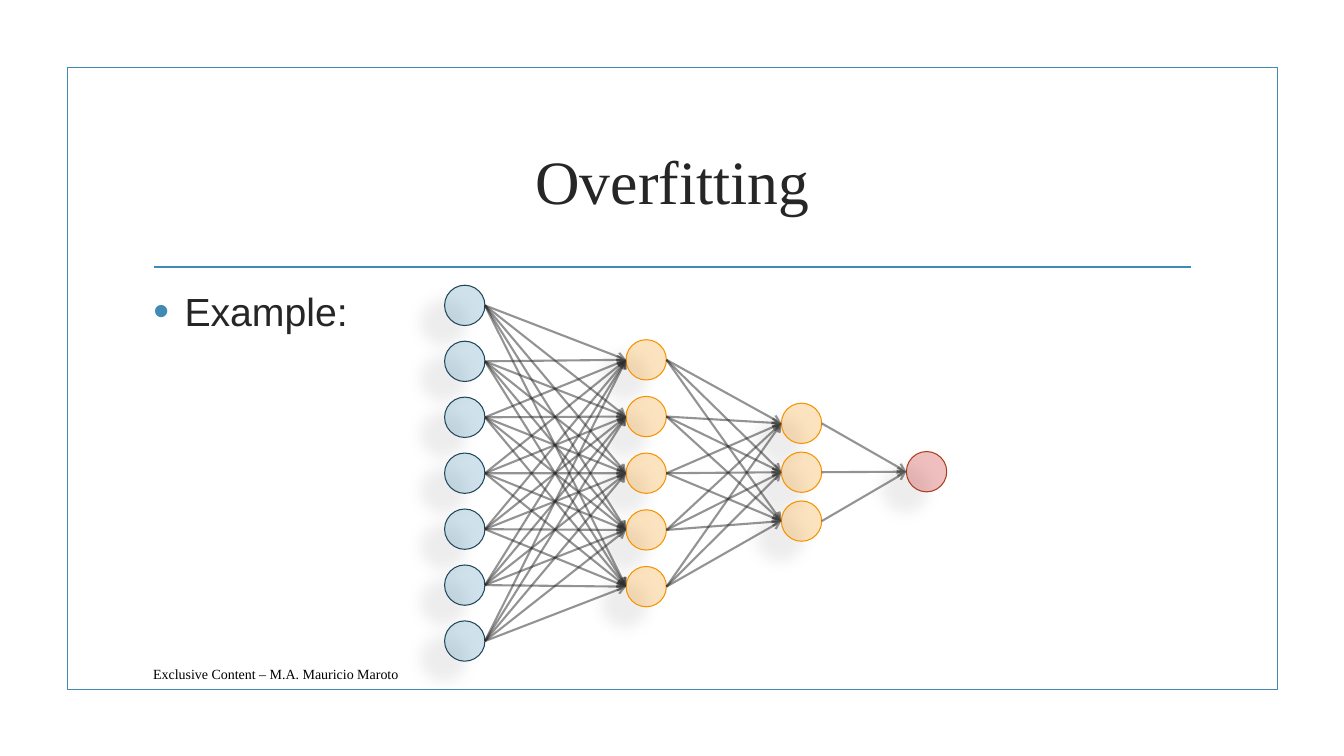
from lxml import etree
from pptx import Presentation
from pptx.dml.color import RGBColor
from pptx.enum import shapes, text
from pptx.oxml import ns
from pptx.util import Inches, Pt

COLORS = {
    "accent": "418AB3", "ink": "262626", "black": "000000", "link": "292929",
    "input_line": "20455A", "hidden": "F69200",
    "output": "C00000", "output_line": "AB3C19",
}
NODE = 0.4
LAYERS = [
    (0, 0, 7, 0.555, "accent", "input_line"),
    (1.8, 0.54, 5, 0.5625, "hidden", "hidden"),
    (3.34, 1.17, 3, 0.485, "hidden", "hidden"),
    (4.58, 1.65, 1, 0, "output", "output_line"),
]


def rgb(name):
    """Return the named colour."""
    return RGBColor.from_string(COLORS[name])


def sub(parent, tag, **attributes):
    """Append a DrawingML child element and return it."""
    child = etree.SubElement(parent, ns.qn("a:" + tag))
    for key, value in attributes.items():
        child.set(key, str(value))
    return child


def set_alpha(color_format, percent):
    """Make a solid colour partly transparent."""
    color = color_format.find(".//" + ns.qn("a:srgbClr"))
    sub(color, "alpha", val=percent * 1000)


def place(part, left, top, width, height):
    """Move and size a part in inches."""
    part.left, part.top = Inches(left), Inches(top)
    part.width, part.height = Inches(width), Inches(height)


def style(paragraph, font_name, size, color):
    """Set the font of a paragraph."""
    paragraph.font.name = font_name
    paragraph.font.size = Pt(size)
    paragraph.font.color.rgb = rgb(color)


def add_line(slide, start, end, color, width):
    """Draw a straight line without shadow."""
    line = slide.shapes.add_connector(
        shapes.MSO_CONNECTOR.STRAIGHT, *map(Inches, (*start, *end)))
    line.line.color.rgb = rgb(color)
    line.line.width = Pt(width)
    sub(line._element.spPr, "effectLst")
    return line


def add_frame(slide, left, top, width, height):
    """Draw the border and the rule under the title."""
    border = slide.shapes.add_shape(
        shapes.MSO_SHAPE.RECTANGLE, *map(Inches, (left, top, width, height)))
    border.shadow.inherit = False
    border.fill.background()
    border.line.color.rgb = rgb("accent")
    border.line.width = Pt(1.25)
    rule_y = top + 1.98
    add_line(slide, (left + 0.86, rule_y), (left + width - 0.86, rule_y), "accent", 1.25)


def add_title(slide, left, top, width, height):
    """Fill the title placeholder."""
    title = slide.shapes.title
    place(title, left, top, width, height)
    title.text_frame.text = "Overfitting"
    title.text_frame.vertical_anchor = text.MSO_ANCHOR.MIDDLE
    heading = title.text_frame.paragraphs[0]
    heading.alignment = text.PP_ALIGN.CENTER
    style(heading, "Times New Roman", 44, "ink")


def add_body(slide, left, top, width, height):
    """Fill the body placeholder with its bullet."""
    body = slide.placeholders[1]
    place(body, left, top, width, height)
    body.text_frame.text = "Example:"
    example = body.text_frame.paragraphs[0]
    example.space_after = Pt(6)
    style(example, "Arial", 28, "ink")
    properties = example._p.get_or_add_pPr()
    properties.set("marL", str(Inches(0.31)))
    properties.set("indent", str(Inches(-0.31)))
    run_defaults = properties.find(ns.qn("a:defRPr"))
    sub(sub(properties, "buClr"), "srgbClr", val=COLORS["accent"])
    sub(properties, "buSzPct", val=115000)
    sub(properties, "buFont", typeface="Arial")
    sub(properties, "buChar", char="•")
    properties.append(run_defaults)


def add_credit(slide, left, top, width, height):
    """Write the credit line at the bottom."""
    credit = slide.shapes.add_textbox(*map(Inches, (left, top, width, height)))
    credit.text_frame.word_wrap = False
    credit.text_frame.vertical_anchor = text.MSO_ANCHOR.MIDDLE
    credit.text_frame.text = "Exclusive Content – M.A. Mauricio Maroto"
    style(credit.text_frame.paragraphs[0], "Times New Roman", 10, "black")


def add_neuron(slide, left, top, fill, outline):
    """Draw one translucent neuron with a soft shadow."""
    neuron = slide.shapes.add_shape(
        shapes.MSO_SHAPE.OVAL, *map(Inches, (left, top, NODE, NODE)))
    neuron.fill.solid()
    neuron.fill.fore_color.rgb = rgb(fill)
    properties = neuron._element.spPr
    set_alpha(properties, 25)
    neuron.line.color.rgb = rgb(outline)
    neuron.line.width = Pt(0.75)
    shadow = sub(sub(properties, "effectLst"), "outerShdw", blurRad=Pt(11.8),
                 dist=Pt(19.7), dir=141 * 60000, algn="ctr", rotWithShape=0)
    sub(sub(shadow, "srgbClr", val=COLORS["black"]), "alpha", val=28000)


def add_network(slide, left, top):
    """Draw the layers and link each one fully to the next."""
    columns = []
    for dx, dy, count, pitch, fill, outline in LAYERS:
        column = [(left + dx, top + dy + row * pitch) for row in range(count)]
        for x, y in column:
            add_neuron(slide, x, y, fill, outline)
        columns.append(column)
    for sources, targets in zip(columns, columns[1:]):
        for target_x, target_y in targets:
            for source_x, source_y in sources:
                link = add_line(slide, (source_x + NODE, source_y + NODE / 2),
                                (target_x, target_y + NODE / 2), "link", 1.5)
                stroke = link.line._get_or_add_ln()
                set_alpha(stroke, 50)
                sub(stroke, "tailEnd", type="arrow")


def build_slide(deck):
    """Compose the overfitting slide."""
    slide = deck.slides.add_slide(deck.slide_layouts[1])
    add_frame(slide, 0.67, 0.67, 12, 6.17)
    add_title(slide, 1.42, 1.07, 10.5, 1.43)
    add_body(slide, 1.42, 2.8, 10.5, 3.63)
    add_credit(slide, 1.42, 6.53, 2.76, 0.31)
    add_network(slide, 4.41, 2.83)


def main():
    """Build and save the presentation."""
    deck = Presentation()
    deck.slide_width, deck.slide_height = Inches(13.33), Inches(7.5)
    build_slide(deck)
    deck.save("out.pptx")


if __name__ == "__main__":
    main()
